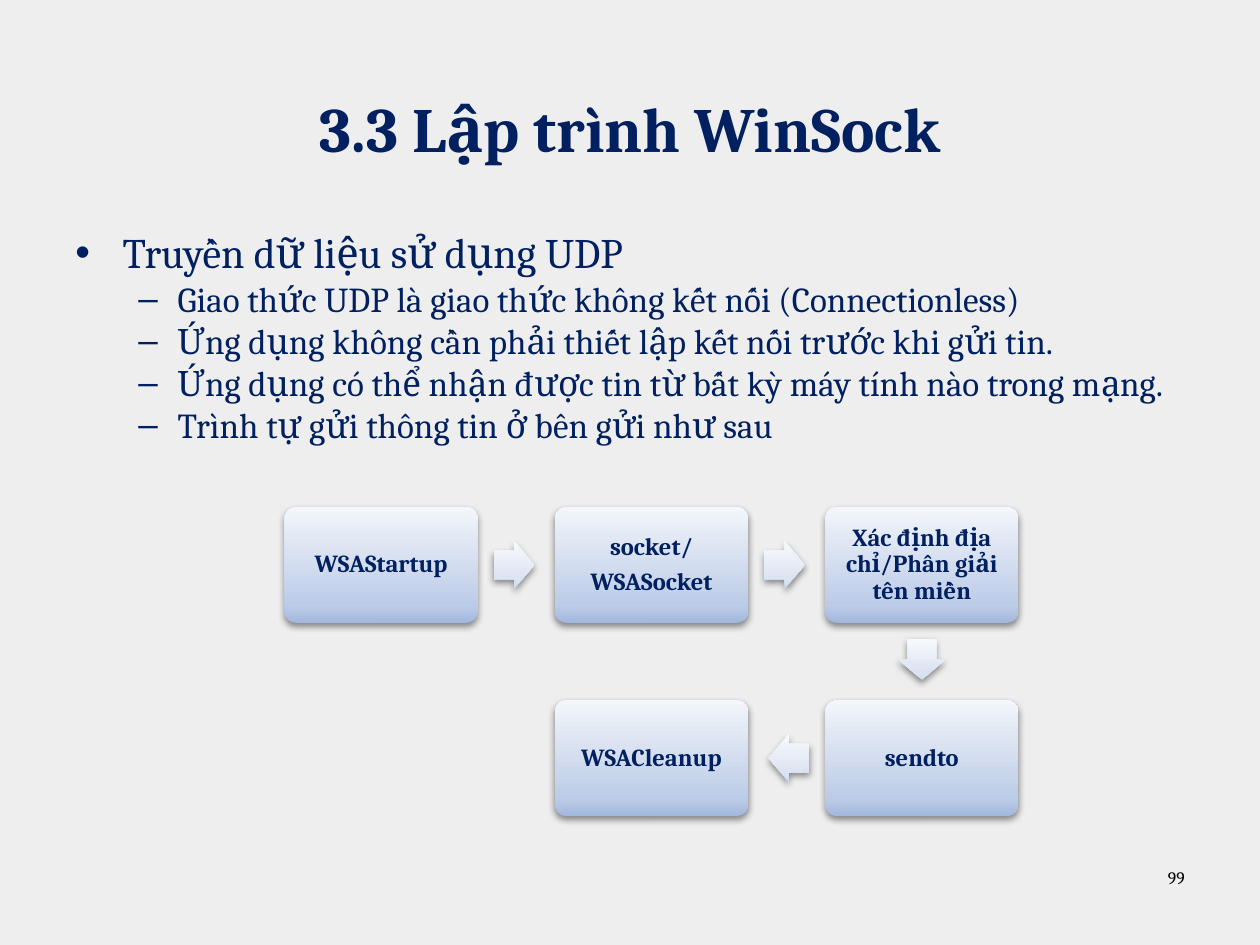
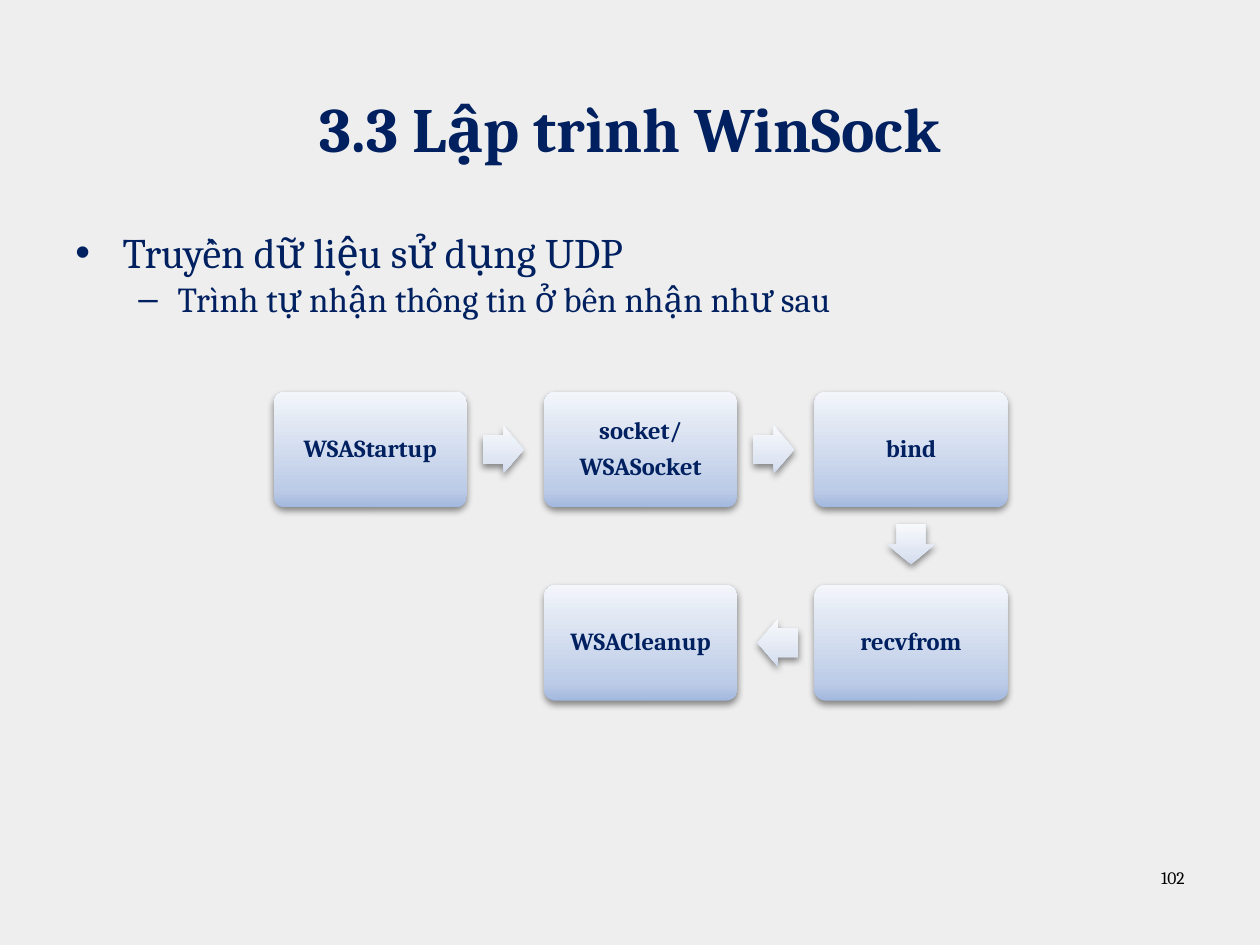
from pptx import Presentation
from pptx.dml.color import RGBColor
from pptx.enum.shapes import MSO_SHAPE as Preset
from pptx.enum.text import MSO_ANCHOR as Anchor, PP_ALIGN as Align
from pptx.oxml import parse_xml
from pptx.oxml.ns import nsdecls, qn
from pptx.util import Pt
from lxml.etree import SubElement

FONT = "Cambria"
COLORS = {"background": "EEEEEE", "navy": "002060", "number": "000000", "shadow": "000000"}
STEP_GRADIENT = ((0, "A3B8DF"), (15, "BCCBE7"), (100, "F3F6FA"))
ARROW_GRADIENT = ((0, "CED8EC"), (15, "DAE2F1"), (100, "F8F9FC"))
BULLETS = (("•", 27, -27, 24), ("–", 58.5, -22.5, 20))

STEP_W, STEP_H = 110.4, 66.2
PITCH_X, PITCH_Y = 154.5, 110.4
ARROW_W, ARROW_H = 23.4, 27.4
ARROW_SHIFT = 1.2
STEP_CELLS = ((0, 0), (1, 0), (2, 0), (2, 1), (1, 1))
ROTATIONS = {(1, 0): 0, (0, 1): 90, (-1, 0): 180}

TITLE = "3.3 Lập trình WinSock"
TOPIC = "Truyền dữ liệu sử dụng UDP"
SLIDES = (
    {
        "number": "99",
        "points": (
            "Giao thức UDP là giao thức không kết nối (Connectionless)",
            "Ứng dụng không cần phải thiết lập kết nối trước khi gửi tin.",
            "Ứng dụng có thể nhận được tin từ bất kỳ máy tính nào trong mạng.",
            "Trình tự gửi thông tin ở bên gửi như sau",
        ),
        "origin": (162.6, 289.7),
        "steps": ("WSAStartup", "socket/\nWSASocket",
                  "Xác định địa chỉ/Phân giải tên miền", "sendto", "WSACleanup"),
    },
    {
        "number": "102",
        "points": ("Trình tự nhận thông tin ở bên nhận như sau",),
        "origin": (156.4, 223.8),
        "steps": ("WSAStartup", "socket/\nWSASocket", "bind", "recvfrom", "WSACleanup"),
    },
)


def format_paragraph(paragraph, size, color="navy", bold=False, align=None):
    paragraph.alignment = align
    for run in paragraph.runs:
        run.font.name = FONT
        run.font.size = Pt(size)
        run.font.bold = bold
        run.font.color.rgb = RGBColor.from_string(COLORS[color])


def add_text(slide, text, left, top, width, height):
    frame = slide.shapes.add_textbox(Pt(left), Pt(top), Pt(width), Pt(height)).text_frame
    frame.word_wrap = True
    frame.text = text
    return frame


def add_title(slide):
    frame = add_text(slide, TITLE, 36, 28, 648, 90)
    frame.vertical_anchor = Anchor.MIDDLE
    format_paragraph(frame.paragraphs[0], 36, bold=True, align=Align.CENTER)


def add_page_number(slide, number):
    frame = add_text(slide, number, 516, 492, 168, 37.5)
    format_paragraph(frame.paragraphs[0], 10, "number", align=Align.RIGHT)


def add_outline(slide, points):
    frame = add_text(slide, "\n".join((TOPIC, *points)), 36, 126, 648, 372)
    for index, paragraph in enumerate(frame.paragraphs):
        paragraph.level = min(index, 1)
        bullet, margin, indent, size = BULLETS[paragraph.level]
        format_paragraph(paragraph, size)
        properties = paragraph._p.get_or_add_pPr()
        properties.set("marL", str(Pt(margin)))
        properties.set("indent", str(Pt(indent)))
        SubElement(properties, qn("a:buFont"), typeface="Arial")
        SubElement(properties, qn("a:buChar"), char=bullet)


def add_raised_shape(slide, preset, left, top, width, height, gradient):
    shape = slide.shapes.add_shape(preset, Pt(left), Pt(top), Pt(width), Pt(height))
    shape.line.fill.background()
    shape.shadow.inherit = False
    stops = "".join(
        f'<a:gs pos="{position * 1000}"><a:srgbClr val="{color}"/></a:gs>'
        for position, color in gradient
    )
    properties = shape._element.spPr
    properties.find(qn("a:prstGeom")).addnext(parse_xml(
        f'<a:gradFill {nsdecls("a")} rotWithShape="0"><a:gsLst>{stops}</a:gsLst>'
        '<a:lin ang="16200000" scaled="0"/></a:gradFill>'
    ))
    properties.find(qn("a:effectLst")).append(parse_xml(
        f'<a:outerShdw {nsdecls("a")} blurRad="{Pt(4)}" dist="{Pt(2)}" dir="5400000" '
        f'rotWithShape="0"><a:srgbClr val="{COLORS["shadow"]}"><a:alpha val="43000"/>'
        '</a:srgbClr></a:outerShdw>'
    ))
    return shape


def add_step(slide, text, center_x, center_y):
    step = add_raised_shape(slide, Preset.ROUNDED_RECTANGLE, center_x - STEP_W / 2,
                            center_y - STEP_H / 2, STEP_W, STEP_H, STEP_GRADIENT)
    step.adjustments[0] = 0.1
    frame = step.text_frame
    frame.word_wrap = True
    frame.vertical_anchor = Anchor.MIDDLE
    frame.margin_left = frame.margin_right = Pt(4.2)
    frame.margin_top = frame.margin_bottom = Pt(4.2)
    frame.text = text
    for paragraph in frame.paragraphs:
        format_paragraph(paragraph, 14, bold=True, align=Align.CENTER)
        paragraph.line_spacing = 0.9
        paragraph.space_after = Pt(4.9)


def add_arrow(slide, start, end, direction):
    dx, dy = direction
    center_x = (start[0] + end[0]) / 2 - dx * ARROW_SHIFT
    center_y = (start[1] + end[1]) / 2 - dy * ARROW_SHIFT
    arrow = add_raised_shape(slide, Preset.RIGHT_ARROW, center_x - ARROW_W / 2,
                             center_y - ARROW_H / 2, ARROW_W, ARROW_H, ARROW_GRADIENT)
    arrow.adjustments[0] = 0.6
    arrow.adjustments[1] = 0.5
    arrow.rotation = ROTATIONS[direction]


def add_flow(slide, origin, steps):
    left, top = origin
    centers = [(left + column * PITCH_X + STEP_W / 2, top + row * PITCH_Y + STEP_H / 2)
               for column, row in STEP_CELLS]
    for text, center in zip(steps, centers):
        add_step(slide, text, *center)
    for index, (cell, following) in enumerate(zip(STEP_CELLS, STEP_CELLS[1:])):
        direction = (following[0] - cell[0], following[1] - cell[1])
        add_arrow(slide, centers[index], centers[index + 1], direction)


def main():
    deck = Presentation()
    deck.slide_width, deck.slide_height = Pt(720), Pt(540)
    for content in SLIDES:
        slide = deck.slides.add_slide(deck.slide_layouts[6])
        slide.background.fill.solid()
        slide.background.fill.fore_color.rgb = RGBColor.from_string(COLORS["background"])
        add_outline(slide, content["points"])
        add_title(slide)
        add_flow(slide, content["origin"], content["steps"])
        add_page_number(slide, content["number"])
    deck.save("out.pptx")


if __name__ == "__main__":
    main()
